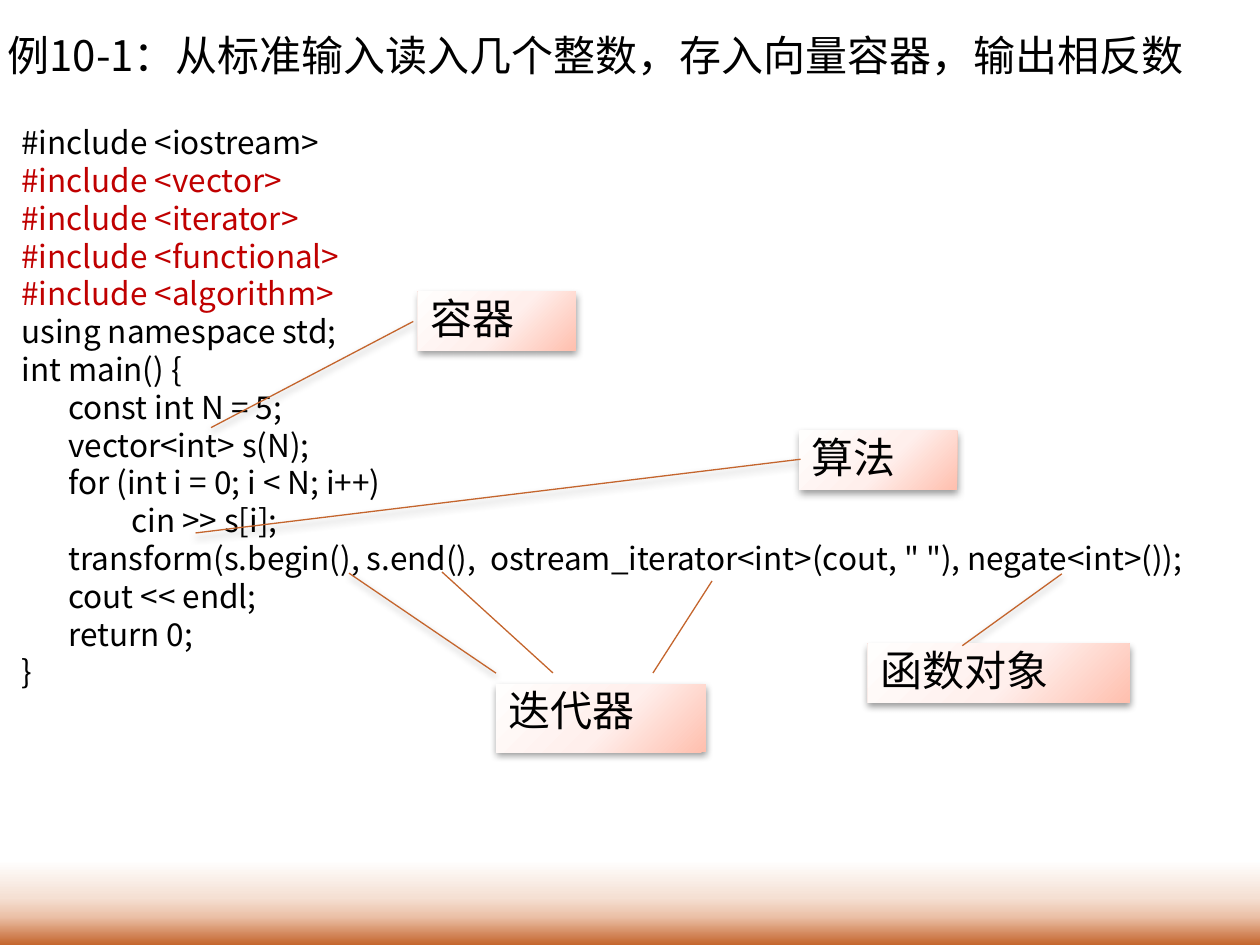
from dataclasses import dataclass

from lxml import etree
from pptx import Presentation
from pptx.dml.color import RGBColor
from pptx.enum.shapes import MSO_CONNECTOR, MSO_SHAPE
from pptx.enum.text import MSO_ANCHOR, PP_ALIGN
from pptx.oxml import parse_xml
from pptx.oxml.ns import qn
from pptx.util import Pt

EMU_PER_PX = 914400 / 126
STRAIGHT = MSO_CONNECTOR.STRAIGHT
CALLOUT = MSO_SHAPE.LINE_CALLOUT_1_NO_BORDER
TOP, MIDDLE = MSO_ANCHOR.TOP, MSO_ANCHOR.MIDDLE
LEFT = PP_ALIGN.LEFT
A_NS = "http://schemas.openxmlformats.org/drawingml/2006/main"


@dataclass(frozen=True)
class Theme:
    text: str = "000000"
    accent: str = "C00000"
    line: str = "C4652D"
    line_width: float = 0.75
    title_size: int = 24
    code_size: int = 18
    code_pitch: float = 21.6
    label_size: int = 24
    font: str = "Noto Sans CJK SC"
    serif: str = "Times New Roman"
    heading_serif: str = "Cambria"
    page_stops: tuple = ((91, "FFFFFF"), (95, "F5E0D3"), (97, "EBC0A7"),
                         (100, "C4652D"), (100, "C9C9DE"))
    label_stops: tuple = ((0, "FFFEFD"), (55, "FFEFEC"), (100, "FFBFAE"))


THEME = Theme()

TITLE = "例10-1：从标准输入读入几个整数，存入向量容器，输出相反数"
CODE = """#include <iostream>
#include <vector>
#include <iterator>
#include <functional>
#include <algorithm>
using namespace std;
int main() {
\tconst int N = 5;
\tvector<int> s(N);
\tfor (int i = 0; i < N; i++)
\t\tcin >> s[i];
\ttransform(s.begin(), s.end(),  ostream_iterator<int>(cout, " "), negate<int>());
\tcout << endl;
\treturn 0;
}""".split("\n")
STL_LINES = range(1, 5)

# text, box, leader (y1, x1, y2, x2 as shares of the box), font
LABELS = [
    ("容器", (418, 292, 158, 59), (0.5, -0.03, 2.3, -1.31), THEME.heading_serif),
    ("函数对象", (868, 644, 262, 59), (0.03, 0.36, -1.19, 0.74), THEME.serif),
    ("算法", (799, 431, 158, 59), (0.48, 0.01, 1.73, -3.82), THEME.serif),
]
ITERATOR_LABEL = ("迭代器", (496, 684, 210, 68), (-0.16, 0, -1.63, -0.7), THEME.serif)
# from and to, relative to the iterator label
ITERATOR_LEADERS = [(57, -11, -54, -112), (157, -11, 216, -103)]


def px(*lengths):
    return [round(length * EMU_PER_PX) for length in lengths]


def set_all(target, values):
    for name, value in values.items():
        setattr(target, name, value)


def set_stops(grad_fill, stops, direction):
    """Give a gradient its colour stops and its direction element."""
    for child in list(grad_fill):
        grad_fill.remove(child)
    stop_list = etree.SubElement(grad_fill, qn("a:gsLst"))
    for position, colour in stops:
        stop = etree.SubElement(stop_list, qn("a:gs"), pos=str(position * 1000))
        etree.SubElement(stop, qn("a:srgbClr"), val=colour)
    grad_fill.append(parse_xml(direction))


def write(paragraph, text, size, font, colour):
    run = paragraph.add_run()
    run.text = text
    set_all(run.font, {"size": Pt(size), "name": font})
    run.font.color.rgb = RGBColor.from_string(colour)
    etree.SubElement(run.font._element, qn("a:ea"), typeface=THEME.font)


def style_line(line):
    line.color.rgb = RGBColor.from_string(THEME.line)
    line.width = Pt(THEME.line_width)


def paint_background(slide):
    slide.background.fill.gradient()
    set_stops(slide.element.xpath(".//p:bg//a:gradFill")[0], THEME.page_stops,
              f'<a:lin xmlns:a="{A_NS}" ang="5400000" scaled="0"/>')


def add_title(slide, box):
    frame = slide.shapes.add_textbox(*px(*box)).text_frame
    set_all(frame, {"word_wrap": True, "vertical_anchor": MIDDLE})
    write(frame.paragraphs[0], TITLE, THEME.title_size, THEME.font, THEME.text)


def add_code(slide, box):
    frame = slide.shapes.add_textbox(*px(*box)).text_frame
    set_all(frame, {"word_wrap": True, "vertical_anchor": TOP})
    indent = px(47)[0]
    for number, code_line in enumerate(CODE):
        paragraph = frame.add_paragraph() if number else frame.paragraphs[0]
        paragraph.line_spacing = Pt(THEME.code_pitch)
        properties = paragraph._p.get_or_add_pPr()
        properties.set("marL", str(indent))
        properties.set("indent", str(-indent))
        colour = THEME.accent if number in STL_LINES else THEME.text
        write(paragraph, code_line, THEME.code_size, THEME.font, colour)


def add_label(shapes, text, box, leader, font):
    label = shapes.add_shape(CALLOUT, *px(*box))
    for index, share in enumerate(leader):
        label.adjustments[index] = share
    label.fill.gradient()
    set_stops(label._element.spPr.find(qn("a:gradFill")), THEME.label_stops,
              f'<a:path xmlns:a="{A_NS}" path="circle"><a:fillToRect l="-40000" '
              't="-90000" r="140000" b="190000"/></a:path>')
    style_line(label.line)
    # Soft shadow straight below
    label.shadow.inherit = False
    label._element.spPr.find(qn("a:effectLst")).append(parse_xml(
        f'<a:outerShdw xmlns:a="{A_NS}" blurRad="{Pt(4.1)}" dist="{Pt(2)}" '
        'dir="5400000" rotWithShape="0"><a:srgbClr val="000000">'
        '<a:alpha val="40000"/></a:srgbClr></a:outerShdw>'))
    set_all(label.text_frame, {"word_wrap": True, "vertical_anchor": TOP})
    paragraph = label.text_frame.paragraphs[0]
    set_all(paragraph, {"alignment": LEFT, "line_spacing": 0.9})
    write(paragraph, text, THEME.label_size, font, THEME.text)


def add_iterator_group(slide):
    shapes = slide.shapes.add_group_shape().shapes
    add_label(shapes, *ITERATOR_LABEL)
    left, top = ITERATOR_LABEL[1][:2]
    for x1, y1, x2, y2 in ITERATOR_LEADERS:
        leader = shapes.add_connector(
            STRAIGHT, *px(left + x1, top + y1, left + x2, top + y2))
        style_line(leader.line)
        etree.SubElement(leader._element.spPr, qn("a:effectLst"))


def main():
    deck = Presentation()
    deck.slide_width, deck.slide_height = px(1260, 945)
    slide = deck.slides.add_slide(deck.slide_layouts[6])
    paint_background(slide)
    add_title(slide, (-5, -4, 1319, 118))
    add_code(slide, (9, 117, 1251, 692))
    for label in LABELS:
        add_label(slide.shapes, *label)
    add_iterator_group(slide)
    deck.save("out.pptx")


if __name__ == "__main__":
    main()
